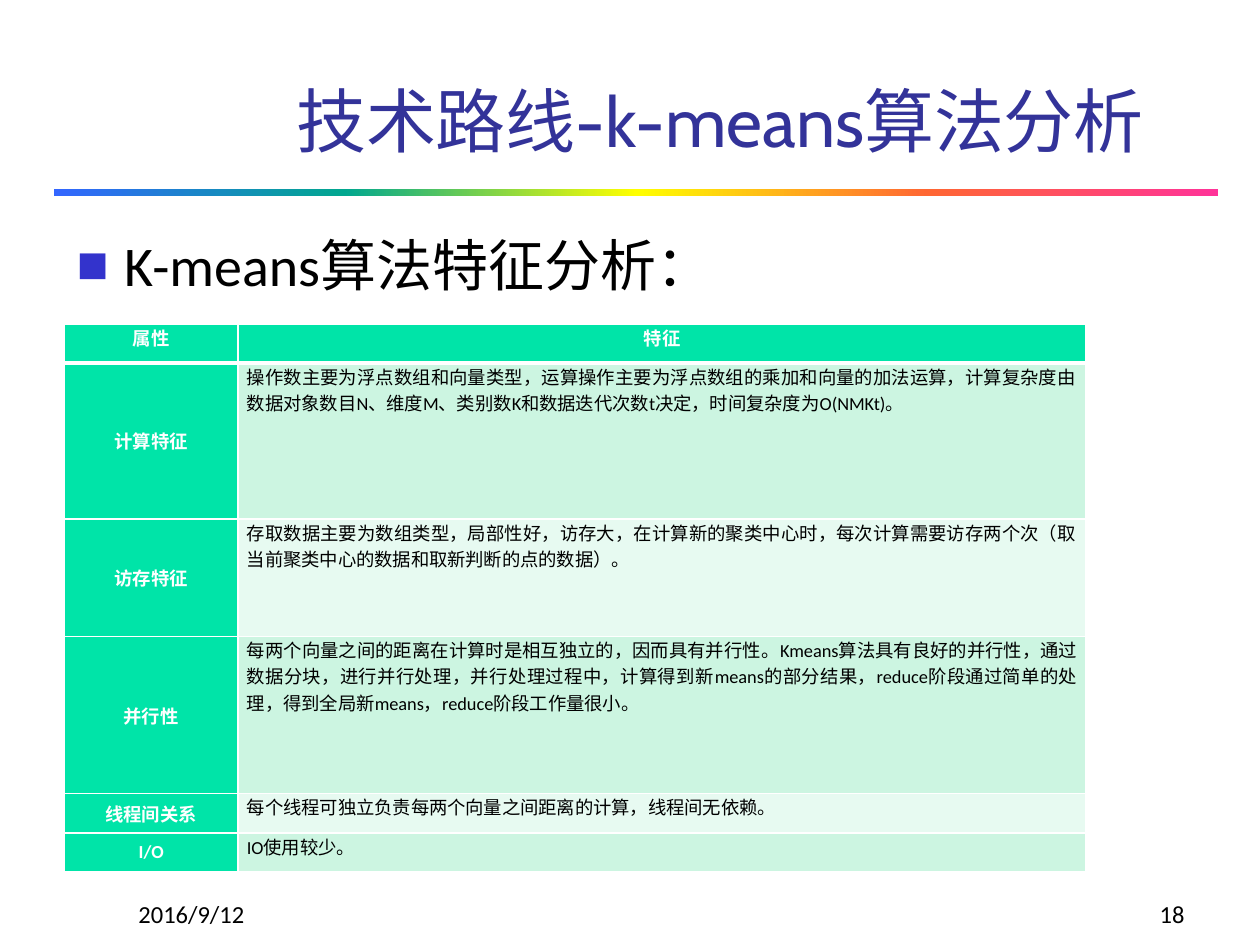
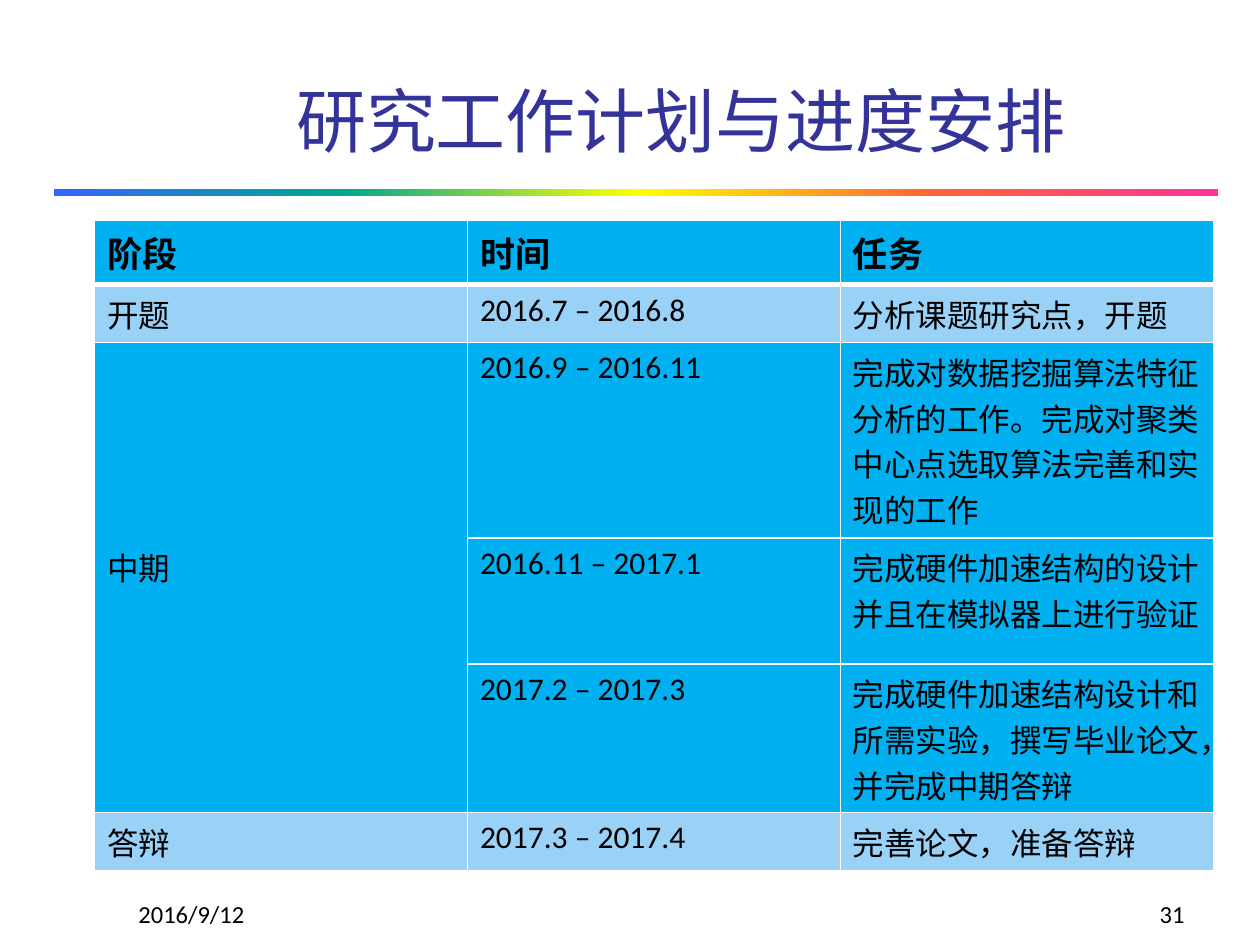
"""Build two research slides: an algorithm analysis table and a work schedule."""

import dataclasses
import typing

import lxml.etree
import pptx
import pptx.dml.color
import pptx.enum.lang
import pptx.enum.shapes
import pptx.enum.text
import pptx.oxml.ns
import pptx.slide
import pptx.table
import pptx.util

Inches = pptx.util.Inches
Pt = pptx.util.Pt
RGBColor = pptx.dml.color.RGBColor
Align = pptx.enum.text.PP_ALIGN
Anchor = pptx.enum.text.MSO_ANCHOR
qn = pptx.oxml.ns.qn

WHITE = RGBColor(0xFF, 0xFF, 0xFF)
BLACK = RGBColor(0x00, 0x00, 0x00)
TITLE_BLUE = RGBColor(0x33, 0x33, 0x99)
BULLET_BLUE = RGBColor(0x33, 0x33, 0xCC)
GREEN = RGBColor(0x00, 0xE4, 0xA8)
MINT = RGBColor(0xCC, 0xF5, 0xE1)
PALE_MINT = RGBColor(0xE7, 0xFA, 0xF1)
SKY = RGBColor(0x00, 0xB0, 0xF0)
PALE_SKY = RGBColor(0x99, 0xD1, 0xF7)
RAINBOW = (
    RGBColor(0x33, 0x66, 0xFF),
    RGBColor(0x01, 0xA7, 0x8F),
    RGBColor(0xFF, 0xFF, 0x00),
    RGBColor(0xFF, 0x66, 0x33),
    RGBColor(0xFF, 0x33, 0x99),
)
TITLE_FONT = "Cabin"
BODY_FONT = "Calibri"
DATE = "2016/9/12"


@dataclasses.dataclass(frozen=True)
class TextStyle:
    """Look of a run and its paragraph."""

    size: float
    color: RGBColor = BLACK
    bold: bool = False
    align: Align = Align.LEFT
    font: str = BODY_FONT


@dataclasses.dataclass(frozen=True)
class CellStyle:
    """Look of a table cell."""

    fill: RGBColor
    text: TextStyle
    anchor: Anchor = Anchor.TOP


@dataclasses.dataclass(frozen=True)
class Grid:
    """Place, measures and wording of a table, in inches."""

    left: float
    top: float
    columns: tuple[float, ...]
    rows: tuple[float, ...]
    texts: tuple[tuple[str, ...], ...]
    margin_x: float
    margin_y: float


def add_span(para: typing.Any, text: str, style: TextStyle) -> None:
    """Add one formatted run to a paragraph."""
    para.alignment = style.align
    span = para.add_run()
    span.text = text
    span.font.name = style.font
    span.font.size = Pt(style.size)
    span.font.bold = style.bold
    span.font.color.rgb = style.color
    span.font.language_id = pptx.enum.lang.MSO_LANGUAGE_ID.SIMPLIFIED_CHINESE


def add_color(parent: typing.Any, color: RGBColor) -> None:
    """Append an RGB colour element."""
    lxml.etree.SubElement(parent, qn("a:srgbClr"), val=str(color))


def add_rainbow(page: pptx.slide.Slide) -> None:
    """Draw the gradient band under the title."""
    band = page.shapes.add_shape(
        pptx.enum.shapes.MSO_SHAPE.RECTANGLE,
        Inches(0.43), Inches(1.5), Inches(9.24), Inches(0.06),
    )
    band.shadow.inherit = False
    band.line.fill.background()
    band.fill.gradient()
    band.fill.gradient_angle = 0
    stops = band.fill._fill._gradFill.find(qn("a:gsLst"))
    for stop in list(stops):
        stops.remove(stop)
    for index, color in enumerate(RAINBOW):
        position = str(index * 100000 // (len(RAINBOW) - 1))
        add_color(lxml.etree.SubElement(stops, qn("a:gs"), pos=position), color)


def add_footer(page: pptx.slide.Slide, left: float, text: str, align: Align) -> None:
    """Add a footer text box."""
    box = page.shapes.add_textbox(Inches(left), Inches(6.92), Inches(2.08), Inches(0.5))
    box.text_frame.word_wrap = True
    box.text_frame.vertical_anchor = Anchor.BOTTOM
    add_span(box.text_frame.paragraphs[0], text, TextStyle(14, align=align))


def place(shape: typing.Any, left: float, top: float, width: float, height: float) -> None:
    """Move and size a placeholder."""
    shape.left, shape.top = Inches(left), Inches(top)
    shape.width, shape.height = Inches(width), Inches(height)
    shape.text_frame.auto_size = pptx.enum.text.MSO_AUTO_SIZE.NONE


def add_page(deck: typing.Any, layout: int, title: str, number: int) -> pptx.slide.Slide:
    """Add a slide with the shared title, band and footers."""
    page = deck.slides.add_slide(deck.slide_layouts[layout])
    add_rainbow(page)
    heading = page.shapes.title
    place(heading, 2.25, 0.08, 7.53, 1.25)
    heading.text_frame.vertical_anchor = Anchor.BOTTOM
    add_span(heading.text_frame.paragraphs[0], title,
             TextStyle(40, TITLE_BLUE, font=TITLE_FONT))
    add_footer(page, 1, DATE, Align.LEFT)
    add_footer(page, 7.42, str(number), Align.RIGHT)
    return page


def add_bullet(page: pptx.slide.Slide, text: str) -> None:
    """Fill the body placeholder with one square-bulleted line."""
    body = page.placeholders[1]
    place(body, 0.51, 1.78, 8.88, 0.87)
    para = body.text_frame.paragraphs[0]
    add_span(para, text, TextStyle(32))
    properties = para._p.get_or_add_pPr()
    add_color(lxml.etree.SubElement(properties, qn("a:buClr")), BULLET_BLUE)
    lxml.etree.SubElement(properties, qn("a:buSzPct"), val="60000")
    lxml.etree.SubElement(properties, qn("a:buFont"), typeface=BODY_FONT)
    lxml.etree.SubElement(properties, qn("a:buChar"), char="■")


def set_borders(cell: typing.Any, row: int) -> None:
    """Draw white cell borders, thick between header and body."""
    widths = {"L": 1, "R": 1, "T": 3 if row == 1 else 1, "B": 3 if row == 0 else 1}
    properties = cell._tc.get_or_add_tcPr()
    for index, (side, width) in enumerate(widths.items()):
        line = lxml.etree.Element(qn(f"a:ln{side}"), w=str(Pt(width)))
        add_color(lxml.etree.SubElement(line, qn("a:solidFill")), WHITE)
        properties.insert(index, line)


def add_grid(
    page: pptx.slide.Slide, grid: Grid, style_of: typing.Callable[[int, int], CellStyle]
) -> pptx.table.Table:
    """Add a table whose cell styles follow from row and column."""
    table = page.shapes.add_table(
        len(grid.rows), len(grid.columns), Inches(grid.left), Inches(grid.top),
        Inches(sum(grid.columns)), Inches(sum(grid.rows)),
    ).table
    table.first_row = table.horz_banding = False
    for column, width in enumerate(grid.columns):
        table.columns[column].width = Inches(width)
    for row, height in enumerate(grid.rows):
        table.rows[row].height = Inches(height)
        for column, text in enumerate(grid.texts[row]):
            cell, style = table.cell(row, column), style_of(row, column)
            cell.fill.solid()
            cell.fill.fore_color.rgb = style.fill
            cell.vertical_anchor = style.anchor
            cell.margin_left = cell.margin_right = Inches(grid.margin_x)
            cell.margin_top = cell.margin_bottom = Inches(grid.margin_y)
            set_borders(cell, row)
            if text:
                add_span(cell.text_frame.paragraphs[0], text, style.text)
    return table


def feature_style(row: int, column: int) -> CellStyle:
    """Style the feature table: green heads, mint bands."""
    if row == 0 or column == 0:
        head = TextStyle(10.5, WHITE, True, Align.CENTER)
        return CellStyle(GREEN, head, Anchor.MIDDLE if row else Anchor.TOP)
    return CellStyle(MINT if row % 2 else PALE_MINT, TextStyle(10.5, align=Align.JUSTIFY))


def schedule_style(row: int, column: int) -> CellStyle:
    """Style the schedule: bold head, one shade per stage."""
    if row == 0:
        return CellStyle(SKY, TextStyle(20, bold=True))
    return CellStyle(PALE_SKY if row in (1, 5) else SKY, TextStyle(18))


FEATURES = Grid(
    0.51, 2.57, (1.38, 6.73), (0.31, 1.24, 0.93, 1.25, 0.31, 0.31),
    (
        ("属性", "特征"),
        ("计算特征",
         "操作数主要为浮点数组和向量类型，运算操作主要为浮点数组的乘加和向量的加法运算，"
         "计算复杂度由数据对象数目N、维度M、类别数K和数据迭代次数t决定，时间复杂度为O(NMKt)。"),
        ("访存特征",
         "存取数据主要为数组类型，局部性好，访存大，在计算新的聚类中心时，"
         "每次计算需要访存两个次（取当前聚类中心的数据和取新判断的点的数据）。"),
        ("并行性",
         "每两个向量之间的距离在计算时是相互独立的，因而具有并行性。Kmeans算法具有良好的并行性，"
         "通过数据分块，进行并行处理，并行处理过程中，计算得到新means的部分结果，"
         "reduce阶段通过简单的处理，得到全局新means，reduce阶段工作量很小。"),
        ("线程间关系", "每个线程可独立负责每两个向量之间距离的计算，线程间无依赖。"),
        ("I/O", "IO使用较少。"),
    ),
    0.07, 0,
)
SCHEDULE = Grid(
    0.75, 1.75, (2.96,) * 3, (0.51, 0.46, 1.55, 1, 1.18, 0.46),
    (
        ("阶段", "时间", "任务"),
        ("开题", "2016.7 – 2016.8", "分析课题研究点，开题"),
        ("中期", "2016.9 – 2016.11",
         "完成对数据挖掘算法特征分析的工作。完成对聚类中心点选取算法完善和实现的工作"),
        ("", "2016.11 – 2017.1", "完成硬件加速结构的设计并且在模拟器上进行验证"),
        ("", "2017.2 – 2017.3", "完成硬件加速结构设计和所需实验，撰写毕业论文，并完成中期答辩"),
        ("答辩", "2017.3 – 2017.4", "完善论文，准备答辩"),
    ),
    0.1, 0.05,
)


def main() -> None:
    """Build and save the deck."""
    deck = pptx.Presentation()
    deck.slide_width, deck.slide_height = Inches(10), Inches(7.5)

    analysis = add_page(deck, 1, "技术路线-k-means算法分析", 18)
    add_bullet(analysis, "K-means算法特征分析：")
    add_grid(analysis, FEATURES, feature_style)

    plan = add_page(deck, 5, "研究工作计划与进度安排", 31)
    schedule = add_grid(plan, SCHEDULE, schedule_style)
    midterm = schedule.cell(2, 0)
    midterm.merge(schedule.cell(4, 0))
    midterm.vertical_anchor = Anchor.MIDDLE
    midterm.margin_bottom = Inches(0.23)

    deck.save("out.pptx")


main()
